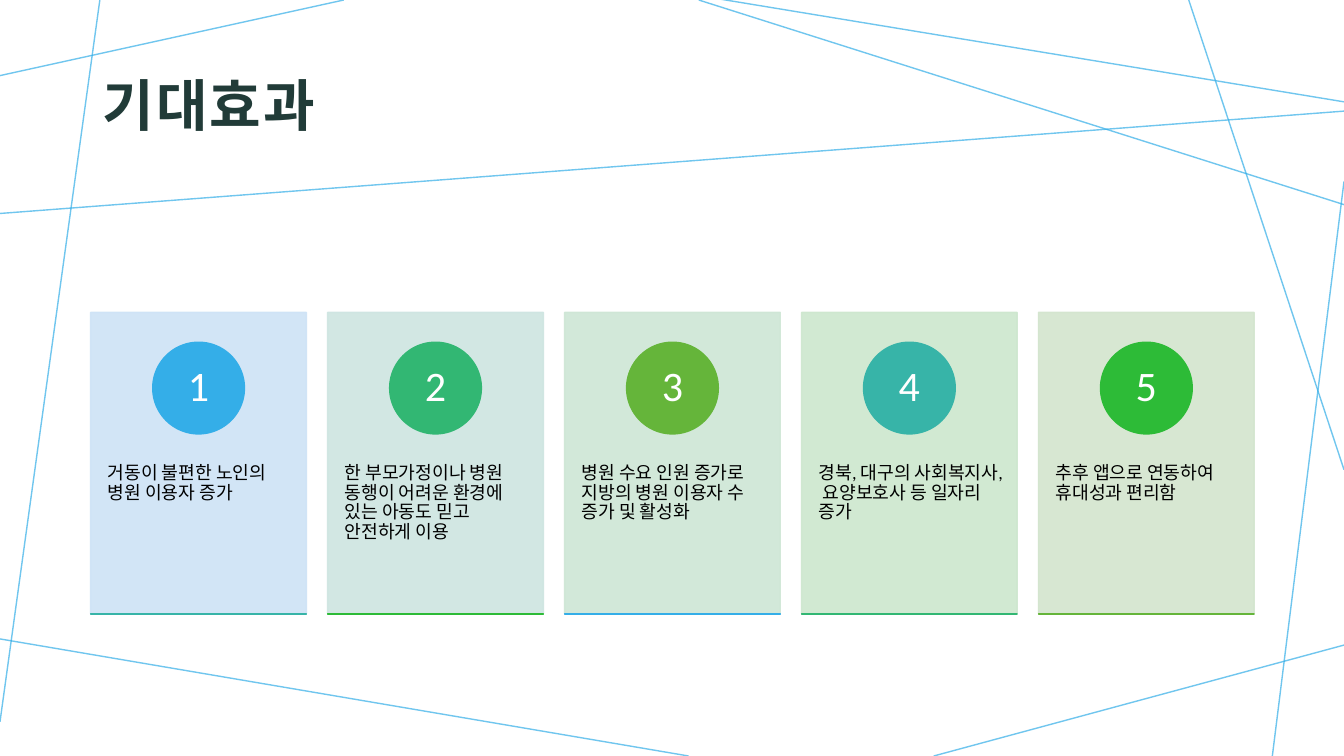
import pptx
import pptx.util
import pptx.dml.color
import pptx.enum.shapes
import pptx.enum.text
import pptx.oxml.ns
import lxml.etree

SHAPE = pptx.enum.shapes.MSO_SHAPE
ALIGN = pptx.enum.text.PP_ALIGN
ANCHOR = pptx.enum.text.MSO_ANCHOR
WIDTH = pptx.util.Inches(13.33)
HEIGHT = pptx.util.Inches(7.5)

CARD_LEFT, CARD_TOP = 6.75, 41.33
CARD_WIDTH, CARD_HEIGHT = 16.05, 39.87
CARD_PITCH = 17.63
BADGE_MIDDLE = 51.33

RAYS = [
    (25.58, 0, 0, 10),
    (7.43, 0, 0, 95.47),
    (51.24, 100, -0.38, 84.4),
    (100, 85.33, 69.47, 100),
    (100, 24, 94.67, 100),
    (100, 62.13, 88.45, 0),
    (100, 13.47, 53.56, -0.13),
    (51.99, 0, 100, 27.07),
    (-0.23, 28.27, 100.23, 14.67),
]

EFFECTS = [
    ("거동이 불편한 노인의 병원 이용자 증가", "CEE3F6", "34AEE8", "37B4A8"),
    ("한 부모가정이나 병원 동행이 어려운 환경에 있는 아동도 믿고 안전하게 이용",
     "CEE5E1", "32B773", "2DBB37"),
    ("병원 수요 인원 증가로 지방의 병원 이용자 수 증가 및 활성화",
     "CEE6D5", "65B53A", "34AEE8"),
    ("경북, 대구의 사회복지사, 요양보호사 등 일자리 증가",
     "CDE7CE", "37B4A8", "32B773"),
    ("추후 앱으로 연동하여 휴대성과 편리함", "D3E5CE", "2DBB37", "65B53A"),
]


def across(share):
    """Turn a percentage of the slide's width into a length."""
    return int(WIDTH * share / 100)


def down(share):
    """Turn a percentage of the slide's height into a length."""
    return int(HEIGHT * share / 100)


def area(left, top, width, height):
    """Turn percentages of the slide into a left, top, width and height."""
    return across(left), down(top), across(width), down(height)


def paint(fill, color, opacity=100):
    """Give a fill a solid hex colour at the given opacity in percent."""
    fill.solid()
    fill.fore_color.rgb = pptx.dml.color.RGBColor.from_string(color)
    if opacity < 100:
        for tone in fill._xPr.iter(pptx.oxml.ns.qn("a:srgbClr")):
            alpha = lxml.etree.SubElement(tone, pptx.oxml.ns.qn("a:alpha"))
            alpha.set("val", str(opacity * 1000))


def write(holder, text, size, color, insets, bold=None, align=ALIGN.LEFT,
          anchor=ANCHOR.TOP, leading=0.9, tracking=0):
    """Put one formatted paragraph into a shape that holds text."""
    frame = holder.text_frame
    frame.word_wrap = True
    frame.auto_size = pptx.enum.text.MSO_AUTO_SIZE.NONE
    frame.vertical_anchor = anchor
    (frame.margin_left, frame.margin_top,
     frame.margin_right, frame.margin_bottom) = map(pptx.util.Inches, insets)
    paragraph = frame.paragraphs[0]
    paragraph.alignment = align
    paragraph.line_spacing = leading
    run = paragraph.add_run()
    run.text = text
    run.font.name = "Calibri"
    run.font.size = pptx.util.Pt(size)
    run.font.bold = bold
    paint(run.font.fill, color)
    if tracking:
        run.font._element.set("spc", str(int(tracking * 100)))


def add_ray(slide, start_x, start_y, end_x, end_y):
    """Draw one thin translucent background line."""
    ray = slide.shapes.add_connector(
        pptx.enum.shapes.MSO_CONNECTOR.STRAIGHT,
        across(start_x), down(start_y), across(end_x), down(end_y))
    ray.line.width = pptx.util.Pt(1)
    paint(ray.line.fill, "34AEE8", 70)
    lxml.etree.SubElement(ray._element.spPr, pptx.oxml.ns.qn("a:effectLst"))


def add_panel(slide, kind, place, color, opacity=100):
    """Draw a preset shape whose fill and outline share one colour."""
    panel = slide.shapes.add_shape(kind, *area(*place))
    panel.shadow.inherit = False
    paint(panel.fill, color, opacity)
    panel.line.width = pptx.util.Pt(1)
    paint(panel.line.fill, color, opacity)


def add_label(slide, place, text, **style):
    """Add a text box with one formatted paragraph."""
    write(slide.shapes.add_textbox(*area(*place)), text, **style)


def badge_place(left, diameter):
    """Place a square, sized in inches, on the badge centre of a card."""
    width, height = diameter / 13.33 * 100, diameter / 7.5 * 100
    return (left + (CARD_WIDTH - width) / 2, BADGE_MIDDLE - height / 2,
            width, height)


def add_card(slide, column, effect, tint, badge, base):
    """Build one numbered card in the given column."""
    left = CARD_LEFT + column * CARD_PITCH
    add_panel(slide, SHAPE.RECTANGLE,
              (left, CARD_TOP, CARD_WIDTH, CARD_HEIGHT), tint, 90)
    add_label(slide, (left, 56.53, CARD_WIDTH, 23.87), effect, size=13,
              color="000000", insets=(0.17, 0.36, 0.17, 0.36))
    add_panel(slide, SHAPE.OVAL, badge_place(left, 0.91), badge)
    add_label(slide, badge_place(left, 0.63), str(column + 1), size=30,
              color="FFFFFF", insets=(0.07, 0.01, 0.07, 0.01),
              align=ALIGN.CENTER, anchor=ANCHOR.MIDDLE)
    add_panel(slide, SHAPE.RECTANGLE,
              (left, CARD_TOP + CARD_HEIGHT, CARD_WIDTH, 0), base)


def main():
    """Build the slide of expected effects and save it."""
    deck = pptx.Presentation()
    deck.slide_width, deck.slide_height = WIDTH, HEIGHT
    slide = deck.slides.add_slide(deck.slide_layouts[5])
    heading = slide.shapes.title
    heading.left, heading.top, heading.width, heading.height = area(
        CARD_LEFT, 6.13, 67.74, 14.67)
    write(heading, "기대효과", size=40, color="213B38", bold=True,
          insets=(0.12, 0.12, 0.12, 0.1), anchor=ANCHOR.MIDDLE,
          leading=1.05, tracking=1.5)
    for ray in RAYS:
        add_ray(slide, *ray)
    for column, effect in enumerate(EFFECTS):
        add_card(slide, column, *effect)
    deck.save("out.pptx")


if __name__ == "__main__":
    main()
